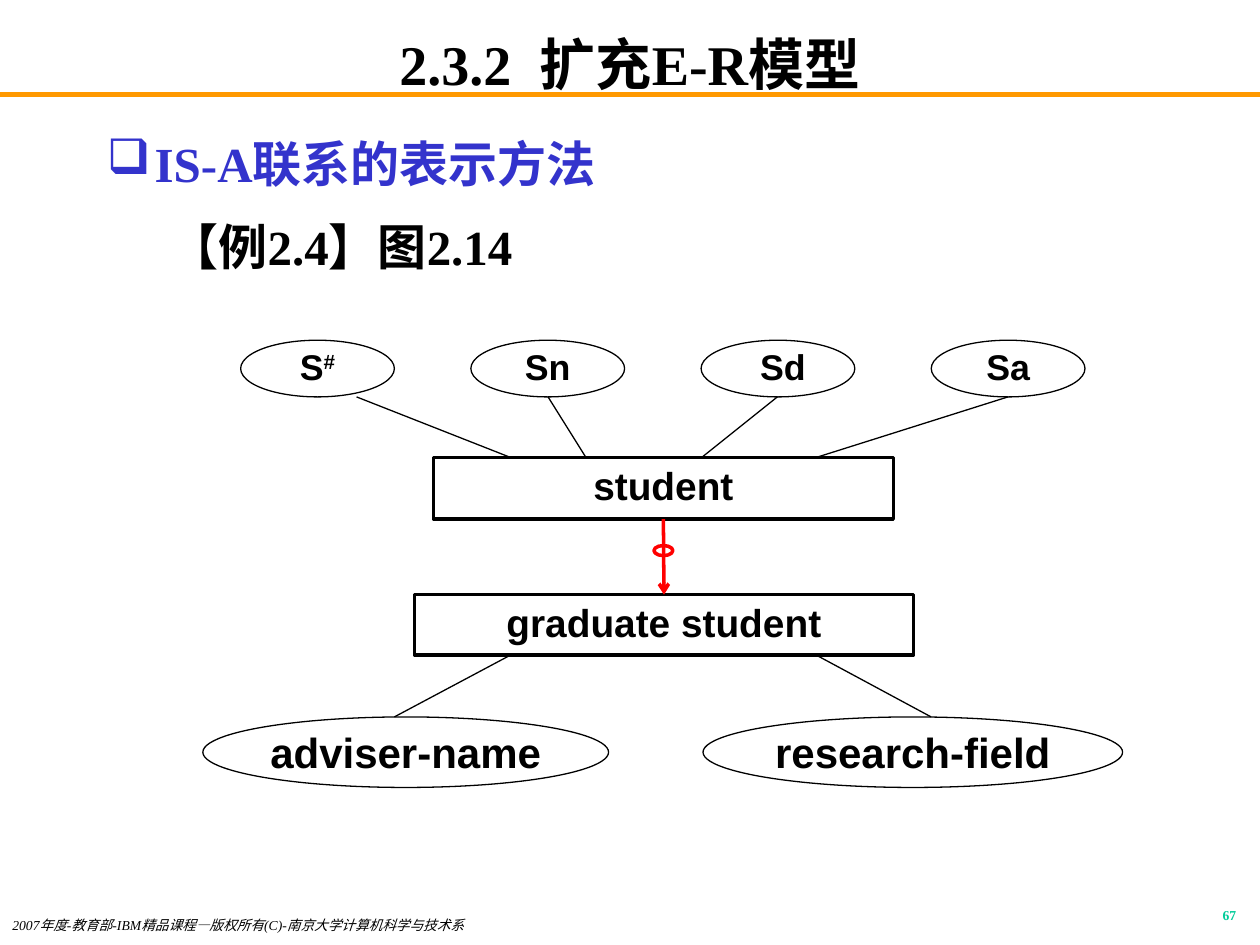
from dataclasses import dataclass

import pptx
import pptx.dml.color
import pptx.enum.shapes
import pptx.enum.text
import pptx.oxml.ns
import pptx.util
from lxml import etree

Inches = pptx.util.Inches
Pt = pptx.util.Pt
qn = pptx.oxml.ns.qn
MSO_SHAPE = pptx.enum.shapes.MSO_SHAPE
PP_ALIGN = pptx.enum.text.PP_ALIGN
MSO_ANCHOR = pptx.enum.text.MSO_ANCHOR


@dataclass(frozen=True)
class Theme:
    serif: str = "Times New Roman"
    sans: str = "Arial"
    ink: str = "000000"
    paper: str = "FFFFFF"
    rule: str = "FF9900"
    accent: str = "3333CC"
    isa: str = "FF0000"
    number: str = "00CC99"
    title: float = 32
    body: float = 28
    subclass: float = 24
    entity: float = 22.2
    attribute: float = 20.4
    footer: float = 7.8
    thin: float = 0.75
    thick: float = 2
    rule_width: float = 3


T = Theme()


def rgb(color):
    return pptx.dml.color.RGBColor.from_string(color)


def write(p, text, *, size, font=T.serif, color=T.ink, bold=True,
          italic=False, align=None, spacing=None, before=0, raised=False):
    r = p.add_run()
    r.text = text
    r.font.size = Pt(size)
    r.font.name = font
    r.font.bold = bold
    r.font.italic = italic
    r.font.color.rgb = rgb(color)
    if raised:
        r.font._element.set("baseline", "30000")
    if align is not None:
        p.alignment = align
    if spacing is not None:
        p.line_spacing = spacing
    p.space_before = Pt(before)


def indent(p, left, hanging, bullet=None, color=T.ink):
    pPr = p._p.get_or_add_pPr()
    pPr.set("marL", str(Inches(left)))
    pPr.set("indent", str(-Inches(hanging)))
    if bullet is None:
        etree.SubElement(pPr, qn("a:buNone"))
        return
    buClr = etree.SubElement(pPr, qn("a:buClr"))
    etree.SubElement(buClr, qn("a:srgbClr"), val=color)
    etree.SubElement(pPr, qn("a:buChar"), char=bullet)


def text_box(s, left, top, width, height):
    sp = s.shapes.add_textbox(*map(Inches, (left, top, width, height)))
    sp.text_frame.word_wrap = True
    return sp.text_frame


def node(s, kind, box, text="", raised="", *, size=T.attribute,
         color=T.ink, weight=T.thin, fill=T.paper, spacing=0.9, inset=True):
    sp = s.shapes.add_shape(kind, *map(Inches, box))
    sp.shadow.inherit = False
    sp.line.color.rgb = rgb(color)
    sp.line.width = Pt(weight)
    if fill:
        sp.fill.solid()
        sp.fill.fore_color.rgb = rgb(fill)
    else:
        sp.fill.background()
    tf = sp.text_frame
    tf.vertical_anchor = MSO_ANCHOR.MIDDLE
    tf.word_wrap = True
    tf.margin_left = tf.margin_right = Inches(0.1 if inset else 0)
    tf.margin_top = tf.margin_bottom = Inches(0.05 if inset else 0)
    for part, up in ((text, False), (raised, True)):
        if part:
            write(tf.paragraphs[0], part, size=size, font=T.sans,
                  align=PP_ALIGN.CENTER, spacing=spacing, raised=up)
    return sp


def line(s, start, end, color=T.ink, weight=T.thin):
    cx = s.shapes.add_connector(pptx.enum.shapes.MSO_CONNECTOR.STRAIGHT,
                                *map(Inches, (*start, *end)))
    cx.line.color.rgb = rgb(color)
    cx.line.width = Pt(weight)
    etree.SubElement(cx._element.spPr, qn("a:effectLst"))
    return cx


def add_title(s, width):
    title = s.shapes.title
    title.left, title.top = Inches(0.075 * width), Inches(0.25)
    title.width, title.height = Inches(0.85 * width), Inches(0.5)
    tf = title.text_frame
    tf.auto_size = pptx.enum.text.MSO_AUTO_SIZE.NONE
    tf.vertical_anchor = MSO_ANCHOR.MIDDLE
    tf.margin_top = tf.margin_bottom = 0
    write(tf.paragraphs[0], "2.3.2  扩充E-R模型", size=T.title,
          align=PP_ALIGN.CENTER)


def add_body(s, width):
    tf = text_box(s, 0.075 * width, 0.92, 0.85 * width, 1.58)
    p = tf.paragraphs[0]
    indent(p, 0.38, 0.38, "❑", T.accent)
    write(p, "IS-A联系的表示方法", size=T.body, color=T.accent, spacing=1.2)
    p = tf.add_paragraph()
    p.level = 1
    indent(p, 0.81, 0.31)
    write(p, "【例2.4】图2.14", size=T.body, spacing=1.2, before=7)


def add_footer(s):
    p = text_box(s, 0, 7.25, 5.5, 0.25).paragraphs[0]
    write(p, "2007年度-教育部-IBM精品课程—版权所有(C)-南京大学计算机科学与技术系",
          size=T.footer, bold=False, italic=True, spacing=0.8)
    p = text_box(s, 7.83, 7.17, 2.08, 0.25).paragraphs[0]
    write(p, "67", size=T.footer, color=T.number, align=PP_ALIGN.RIGHT,
          spacing=0.8)


def add_diagram(s):
    top, bottom = 2.7, 3.15
    student_top, graduate_top, graduate_bottom, sub_top = 3.63, 4.72, 5.2, 5.69
    attributes = (("S", "#", 2.83, 4.05), ("Sn", "", 4.35, 4.65),
                  (" Sd", "", 6.17, 5.57), ("Sa", "", 8, 6.48))
    for col, (name, raised, x1, x2) in enumerate(attributes):
        box = (1.91 + 1.827 * col, top, 1.22, bottom - top)
        node(s, MSO_SHAPE.OVAL, box, name, raised)
        line(s, (x1, bottom), (x2, student_top))

    student, graduate = (
        node(s, MSO_SHAPE.RECTANGLE, box, name, size=T.entity, weight=T.thick)
        for name, box in (
            ("student", (3.44, student_top, 3.65, 0.49)),
            ("graduate student",
             (3.29, graduate_top, 3.96, graduate_bottom - graduate_top))))
    isa = line(s, (5.26, 4.12), (5.26, graduate_top), T.isa, T.thick)
    isa.begin_connect(student, 2)
    isa.end_connect(graduate, 0)
    etree.SubElement(isa.line._get_or_add_ln(), qn("a:tailEnd"), type="arrow")
    node(s, MSO_SHAPE.OVAL, (5.19, 4.33, 0.15, 0.08), color=T.isa,
         weight=T.thick, fill=None)

    for name, left, width, x1, x2 in (
            ("adviser-name", 1.61, 3.22, 4.05, 3.13),
            ("research-field", 5.58, 3.33, 6.48, 7.39)):
        node(s, MSO_SHAPE.OVAL, (left, sub_top, width, 0.56), name,
             size=T.subclass, spacing=1, inset=False)
        line(s, (x1, graduate_bottom), (x2, sub_top))


def main():
    width, height = 10, 7.5
    prs = pptx.Presentation()
    prs.slide_width, prs.slide_height = Inches(width), Inches(height)
    s = prs.slides.add_slide(prs.slide_layouts[5])
    line(s, (0, 0.1 * height), (width, 0.1 * height), T.rule, T.rule_width)
    add_title(s, width)
    add_body(s, width)
    add_footer(s)
    add_diagram(s)
    prs.save("out.pptx")


if __name__ == "__main__":
    main()
